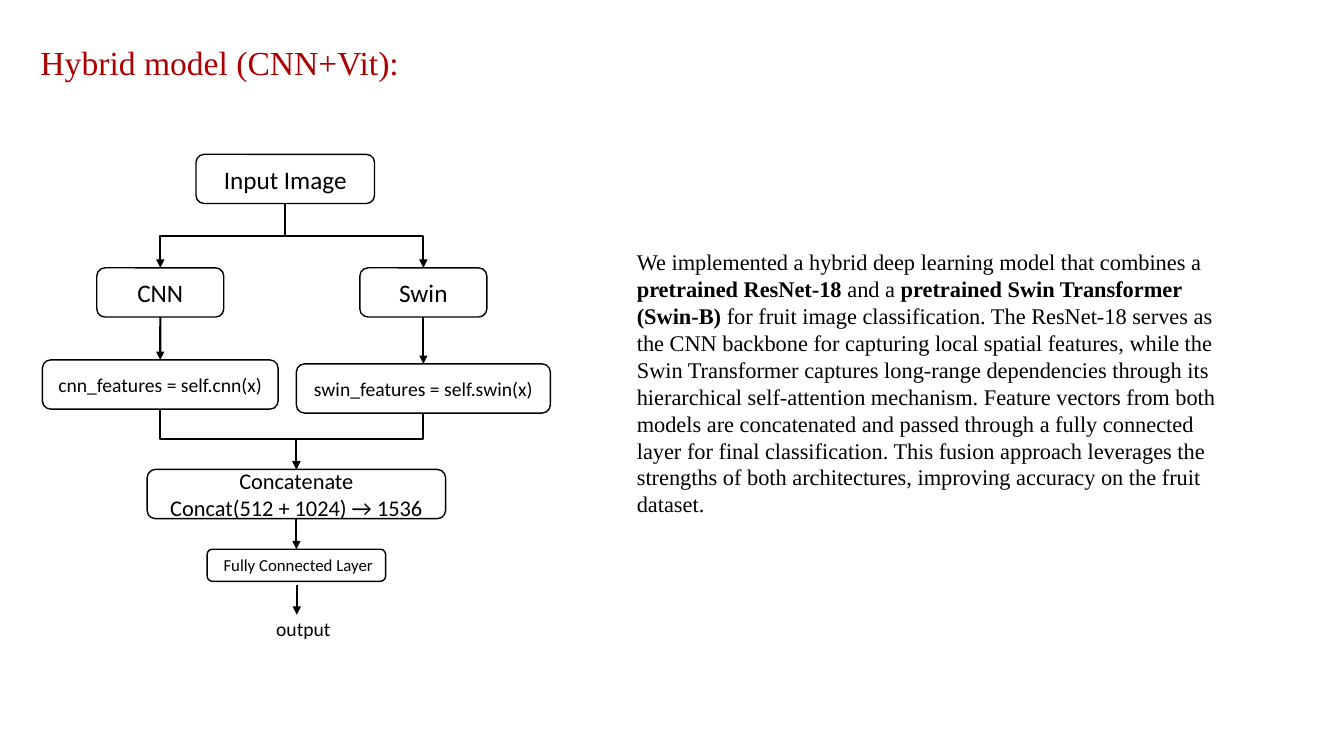
from dataclasses import dataclass

from lxml import etree
from pptx import Presentation
from pptx.dml.color import RGBColor
from pptx.enum.shapes import MSO_CONNECTOR, MSO_SHAPE
from pptx.enum.text import MSO_ANCHOR, PP_ALIGN
from pptx.oxml.ns import qn
from pptx.shapes.autoshape import Shape
from pptx.shapes.connector import Connector
from pptx.slide import Slide
from pptx.util import Cm, Pt

BLACK = RGBColor(0x00, 0x00, 0x00)
WHITE = RGBColor(0xFF, 0xFF, 0xFF)
RED = RGBColor(0xAC, 0x00, 0x00)
SANS = "Calibri"
SERIF = "Times New Roman"
ROUNDED = MSO_SHAPE.ROUNDED_RECTANGLE
STRAIGHT = MSO_CONNECTOR.STRAIGHT
ELBOW = MSO_CONNECTOR.ELBOW
CENTER = PP_ALIGN.CENTER
MIDDLE = MSO_ANCHOR.MIDDLE
TOP, BOTTOM = 0, 2

CNN_X, INPUT_X, MERGE_X, OUTPUT_X, SWIN_X = 4.04, 7.19, 7.47, 7.48, 10.67
SPLIT_Y, JOIN_Y = 5.95, 11.06


@dataclass(frozen=True)
class Box:
    name: str
    lines: tuple[str, ...]
    center: float
    top: float
    width: float
    size: int
    height: float = 1.24


@dataclass(frozen=True)
class Link:
    start: str
    end: str
    bend: float | None = None


@dataclass(frozen=True)
class Label:
    runs: tuple[tuple[str, bool], ...]
    left: float
    top: float
    width: float
    height: float
    size: int
    font: str
    color: RGBColor = BLACK


BOXES = (
    Box("input", ("Input Image",), INPUT_X, 3.89, 4.5, 18),
    Box("cnn", ("CNN",), CNN_X, 6.75, 3.2, 18),
    Box("cnn_features", ("cnn_features = self.cnn(x)",), CNN_X, 9.07, 5.94, 14),
    Box("swin", ("Swin",), SWIN_X, 6.75, 3.2, 18),
    Box("swin_features", ("swin_features = self.swin(x)",), SWIN_X, 9.17, 6.4, 14),
    Box("concat", ("Concatenate", "Concat(512 + 1024) → 1536"), MERGE_X, 11.83, 7.52, 16),
    Box("dense", (" Fully Connected Layer",), MERGE_X, 13.84, 4.5, 12, 0.81),
)

LINKS = (
    Link("input", "cnn", SPLIT_Y),
    Link("input", "swin", SPLIT_Y),
    Link("cnn", "cnn_features"),
    Link("swin", "swin_features"),
    Link("swin_features", "concat", JOIN_Y),
    Link("cnn_features", "concat", JOIN_Y),
    Link("concat", "dense"),
)

LABELS = (
    Label((("output", False),), 6.71, 15.42, 2.24, 0.86, 14, SANS),
    Label((
        ("We implemented a hybrid deep learning model that combines a ", False),
        ("pretrained ResNet-18", True),
        (" and a ", False),
        ("pretrained Swin Transformer (Swin-B)", True),
        (" for fruit image classification. The ResNet-18 serves as the CNN backbone "
         "for capturing local spatial features, while the Swin Transformer captures "
         "long-range dependencies through its hierarchical self-attention mechanism. "
         "Feature vectors from both models are concatenated and passed through a fully "
         "connected layer for final classification. This fusion approach leverages the "
         "strengths of both architectures, improving accuracy on the fruit dataset.", False),
    ), 15.8, 6.14, 15.19, 7.09, 16, SERIF),
    Label((("Hybrid model (CNN+Vit):", False),), 0.77, 0.94, 11.51, 1.27, 24, SERIF, RED),
)


def add_box(slide: Slide, box: Box) -> Shape:
    sp = slide.shapes.add_shape(ROUNDED, Cm(box.center - box.width / 2), Cm(box.top),
                                Cm(box.width), Cm(box.height))
    sp.shadow.inherit = False
    sp.fill.solid()
    sp.fill.fore_color.rgb = WHITE
    sp.line.color.rgb = BLACK
    sp.line.width = Pt(1)
    tf = sp.text_frame
    tf.word_wrap = True
    tf.vertical_anchor = MIDDLE
    tf.text = "\n".join(box.lines)
    for p in tf.paragraphs:
        p.alignment = CENTER
        p.font.name = SANS
        p.font.size = Pt(box.size)
        p.font.color.rgb = BLACK
    return sp


def style_arrow(s: Connector) -> None:
    s.line.color.rgb = BLACK
    s.line.width = Pt(1.5)
    etree.SubElement(s.line._get_or_add_ln(), qn("a:tailEnd"), type="triangle")
    etree.SubElement(s._element.spPr, qn("a:effectLst"))


def bend_down(s: Connector, bend: float) -> None:
    x1, y1, x2, y2 = s.begin_x, s.begin_y, s.end_x, s.end_y
    run, drop = abs(x2 - x1), y2 - y1
    s.left, s.top = (x1 + x2 - drop) // 2, (y1 + y2 - run) // 2
    s.width, s.height = drop, run
    xfrm = s._element.spPr.find(qn("a:xfrm"))
    xfrm.attrib.pop("flipH", None)
    if x2 > x1:
        xfrm.set("flipH", "1")
    xfrm.set("rot", "16200000" if x2 > x1 else "5400000")
    ratio = round((Cm(bend) - y1) / drop * 100000)
    guides = s._element.spPr.find(qn("a:prstGeom")).find(qn("a:avLst"))
    etree.SubElement(guides, qn("a:gd"), name="adj1", fmla=f"val {ratio}")


def add_link(slide: Slide, link: Link, boxes: dict[str, Shape]) -> None:
    kind = STRAIGHT if link.bend is None else ELBOW
    s = slide.shapes.add_connector(kind, 0, 0, 0, 0)
    s.begin_connect(boxes[link.start], BOTTOM)
    s.end_connect(boxes[link.end], TOP)
    if link.bend is not None:
        bend_down(s, link.bend)
    style_arrow(s)


def add_label(slide: Slide, label: Label) -> None:
    sp = slide.shapes.add_textbox(Cm(label.left), Cm(label.top),
                                  Cm(label.width), Cm(label.height))
    tf = sp.text_frame
    tf.word_wrap = True
    p = tf.paragraphs[0]
    p.font.name = label.font
    p.font.size = Pt(label.size)
    p.font.color.rgb = label.color
    for text, bold in label.runs:
        r = p.add_run()
        r.text = text
        if bold:
            r.font.bold = True


def main() -> None:
    prs = Presentation()
    prs.slide_width, prs.slide_height = Cm(33.87), Cm(19.05)
    slide = prs.slides.add_slide(prs.slide_layouts[6])
    boxes = {box.name: add_box(slide, box) for box in BOXES}
    for link in LINKS:
        add_link(slide, link, boxes)
    style_arrow(slide.shapes.add_connector(STRAIGHT, Cm(OUTPUT_X), Cm(14.73),
                                           Cm(OUTPUT_X), Cm(15.49)))
    for label in LABELS:
        add_label(slide, label)
    prs.save("out.pptx")


if __name__ == "__main__":
    main()
